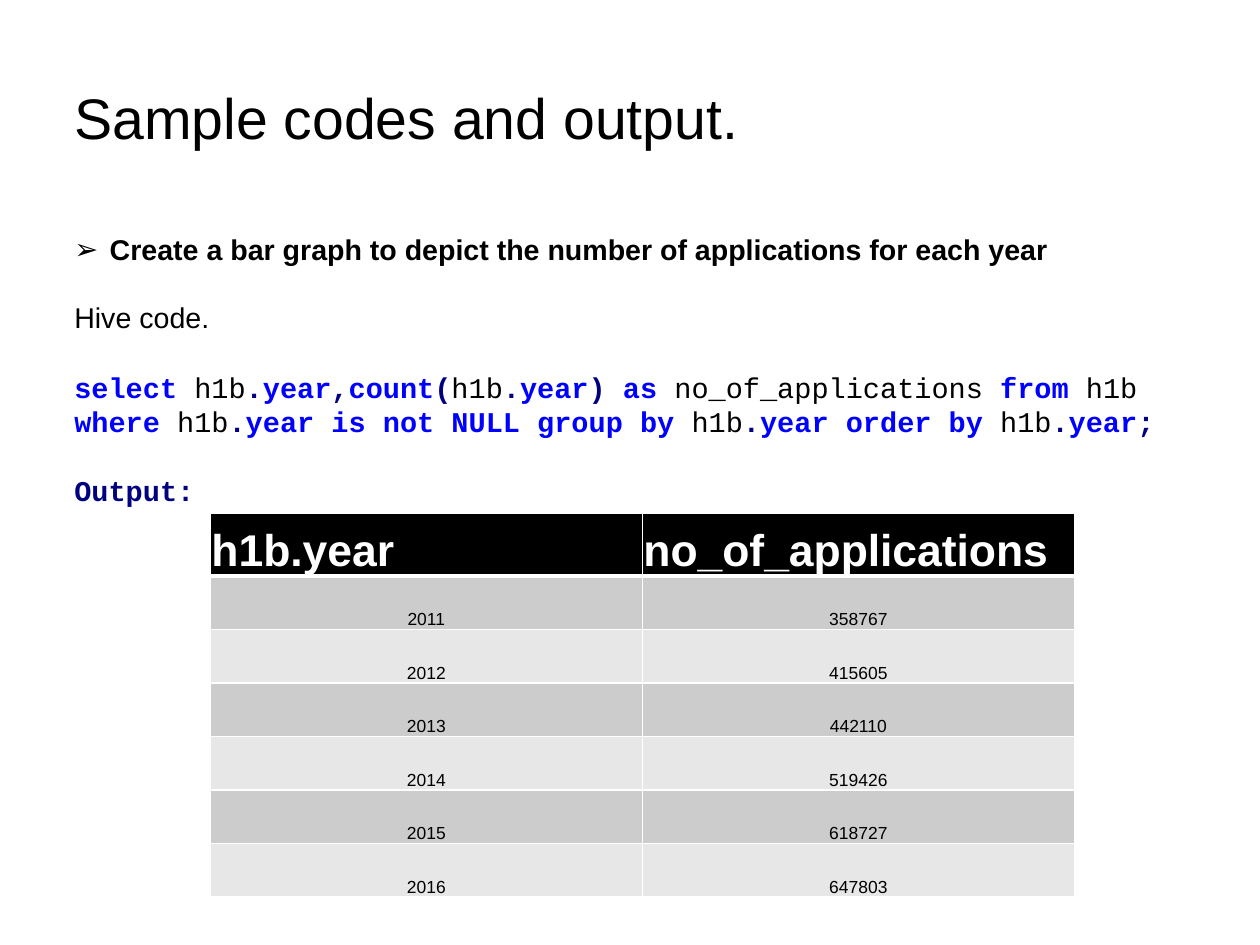
from lxml.etree import SubElement
from pptx import Presentation
from pptx.dml.color import RGBColor
from pptx.enum.text import MSO_ANCHOR, MSO_AUTO_SIZE, PP_ALIGN
from pptx.oxml.ns import qn
from pptx.util import Cm, Inches, Pt

BLACK, WHITE, BLUE, NAVY = "000000", "FFFFFF", "0000FF", "000080"
BANDS = ("CCCCCC", "E7E7E7")
KEYWORDS = "select year count as from where is not NULL group by order".split()
QUERY = (
    "select| h1b|.|year|,|count|(|h1b|.|year|)| |as| no_of_applications |from| h1b "
    "|where| h1b|.|year| |is| |not| |NULL| |group| |by| h1b|.|year| |order| |by| h1b|.|year|;"
)
APPLICATIONS = [
    ("h1b.year", "no_of_applications"),
    ("2011", "358767"),
    ("2012", "415605"),
    ("2013", "442110"),
    ("2014", "519426"),
    ("2015", "618727"),
    ("2016", "647803"),
]


def color(value):
    return RGBColor.from_string(value)


def query_runs():
    for token in QUERY.split("|"):
        if token in KEYWORDS:
            yield token, BLUE, True
        elif token in ".,();":
            yield token, NAVY, True
        else:
            yield token, BLACK, False


class SlideBuilder:
    text_font = "Arial"
    code_font = "Courier New"

    def __init__(self, presentation):
        self.slide = presentation.slides.add_slide(presentation.slide_layouts[1])

    def style(self, font, size, name=text_font, value=BLACK, bold=False):
        font.name, font.size, font.bold = name, Pt(size), bold
        font.color.rgb = color(value)

    def place(self, shape, left, top, width, height, anchor):
        shape.left, shape.top = Inches(left), Inches(top)
        shape.width, shape.height = Inches(width), Inches(height)
        frame = shape.text_frame
        frame.margin_left = frame.margin_right = Inches(0.1)
        frame.margin_top = frame.margin_bottom = Inches(0.1)
        frame.vertical_anchor = anchor
        frame.word_wrap = True
        frame.auto_size = MSO_AUTO_SIZE.NONE
        return frame

    def title(self, text):
        frame = self.place(self.slide.shapes.title, 0.55, 0.33, 9.92, 1.38, MSO_ANCHOR.MIDDLE)
        frame.text = text
        paragraph = frame.paragraphs[0]
        paragraph.alignment = PP_ALIGN.LEFT
        self.style(paragraph.font, 36)

    def body(self, items):
        frame = self.place(self.slide.placeholders[1], 0.55, 1.93, 9.92, 4.79, MSO_ANCHOR.TOP)
        for index, (runs, name, gap, bullet) in enumerate(items):
            paragraph = frame.add_paragraph() if index else frame.paragraphs[0]
            paragraph.space_before, paragraph.space_after = Pt(gap), Pt(0)
            paragraph.line_spacing = 1.0
            self.bullet(paragraph, bullet)
            for text, value, bold in runs:
                run = paragraph.add_run()
                run.text = text
                self.style(run.font, 18, name, value, bold)

    def bullet(self, paragraph, character):
        properties = paragraph._p.get_or_add_pPr()
        indent = Inches(0.31) if character else 0
        properties.set("marL", str(indent))
        properties.set("indent", str(-indent))
        if character:
            SubElement(properties, qn("a:buFont")).set("typeface", self.text_font)
            SubElement(properties, qn("a:buChar")).set("char", character)
        else:
            SubElement(properties, qn("a:buNone"))

    def borders(self, cell, header):
        properties = cell._tc.get_or_add_tcPr()
        for side in "LRTB":
            line = SubElement(properties, qn("a:ln" + side))
            line.set("w", str(Pt(3 if header and side == "B" else 1)))
            fill = SubElement(line, qn("a:solidFill"))
            SubElement(fill, qn("a:srgbClr")).set("val", WHITE)

    def table(self, rows, left, top, width, height, header_height):
        row_height = (height - header_height) / (len(rows) - 1)
        table = self.slide.shapes.add_table(
            len(rows), len(rows[0]), Inches(left), Inches(top), Inches(width), Inches(height)
        ).table
        for row_index, values in enumerate(rows):
            header = row_index == 0
            table.rows[row_index].height = Inches(header_height if header else row_height)
            for column_index, value in enumerate(values):
                cell = table.cell(row_index, column_index)
                self.borders(cell, header)
                cell.fill.solid()
                cell.fill.fore_color.rgb = color(BLACK if header else BANDS[(row_index - 1) % 2])
                cell.margin_left = cell.margin_right = cell.margin_top = Inches(0.01)
                cell.margin_bottom = 0
                cell.vertical_anchor = MSO_ANCHOR.BOTTOM
                cell.text = value
                paragraph = cell.text_frame.paragraphs[0]
                paragraph.alignment = PP_ALIGN.LEFT if header else PP_ALIGN.CENTER
                self.style(
                    paragraph.font,
                    28 if header else 11,
                    value=WHITE if header else BLACK,
                    bold=header,
                )


def main():
    presentation = Presentation()
    presentation.slide_width, presentation.slide_height = Cm(28), Cm(21)
    builder = SlideBuilder(presentation)
    builder.title("Sample codes and output.")
    task = "Create a bar graph to depict the number of applications for each year"
    builder.body([
        ([(task, BLACK, True)], builder.text_font, 0, "➢"),
        ([("Hive code.", BLACK, False)], builder.text_font, 21.5, None),
        (query_runs(), builder.code_font, 22, None),
        ([("Output:", NAVY, True)], builder.code_font, 22, None),
    ])
    builder.table(APPLICATIONS, 1.84, 4.49, 7.56, 3.36, 0.55)
    presentation.save("out.pptx")


if __name__ == "__main__":
    main()
